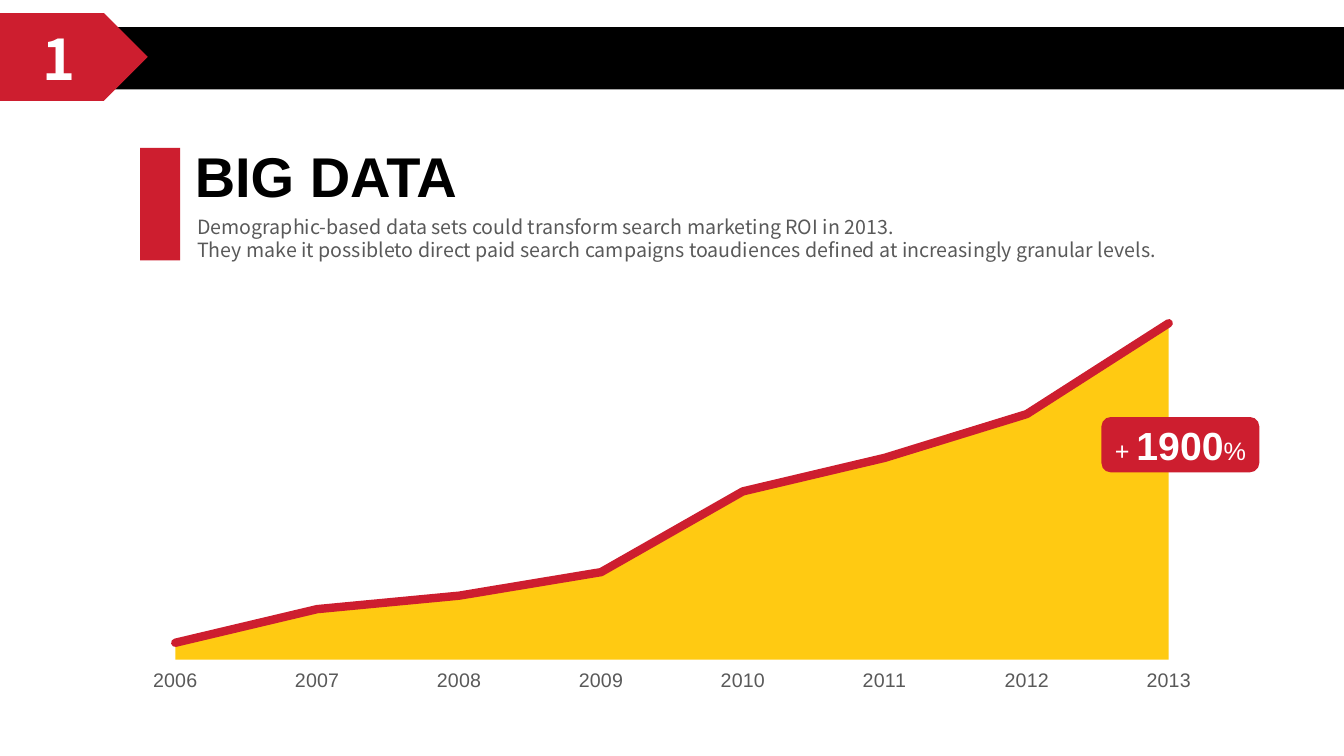
from lxml import etree
from pptx import Presentation
from pptx.chart.data import CategoryChartData
from pptx.dml.color import RGBColor
from pptx.enum.chart import XL_CHART_TYPE as CHART, XL_MARKER_STYLE as MARKER
from pptx.enum.chart import XL_TICK_LABEL_POSITION as LABELS, XL_TICK_MARK as TICK
from pptx.enum.shapes import MSO_SHAPE as SHAPE
from pptx.enum.text import MSO_ANCHOR as ANCHOR, MSO_AUTO_SIZE as FIT, PP_ALIGN as ALIGN
from pptx.oxml.ns import qn
from pptx.util import Inches, Pt

RED = RGBColor(0xCD, 0x1E, 0x2F)
YELLOW = RGBColor(0xFF, 0xCA, 0x12)
BLACK = RGBColor(0, 0, 0)
WHITE = RGBColor(0xFF, 0xFF, 0xFF)
GREY = RGBColor(0x59, 0x59, 0x59)
SANS, NOTO = "Arial", "Noto Sans CJK SC"

YEARS = [str(year) for year in range(2006, 2014)]
GROWTH = [5, 15, 19, 26, 50, 60, 73, 100]
INTRO = [
    "Demographic-based data sets could transform search marketing ROI in 2013.",
    "They make it possibleto direct paid search campaigns toaudiences defined "
    "at increasingly granular levels.",
]


def part(box, x, y, w, h):
    """Place a part by its shares of a box given in inches."""
    left, top, width, height = box
    return [Inches(v) for v in
            (left + x * width, top + y * height, w * width, h * height)]


def add_block(slide, kind, place, color):
    sp = slide.shapes.add_shape(kind, *place)
    sp.shadow.inherit = False
    sp.fill.solid()
    sp.fill.fore_color.rgb = color
    sp.line.fill.background()
    return sp


def add_run(p, text, size, color, font=SANS, bold=False):
    r = p.add_run()
    r.text = text
    r.font.size, r.font.name, r.font.bold = Pt(size), font, bold
    r.font.color.rgb = color


def move(sp, place):
    sp.left, sp.top, sp.width, sp.height = place
    tf = sp.text_frame
    tf.auto_size, tf.vertical_anchor = FIT.NONE, ANCHOR.TOP
    tf.word_wrap = True
    return tf


def add_header(slide, box, number):
    add_block(slide, SHAPE.RECTANGLE, part(box, 0, 0.16, 1, 0.71), BLACK)
    add_block(slide, SHAPE.PENTAGON, part(box, 0, 0, 0.11, 1), RED)
    label = slide.shapes.add_textbox(*part(box, 0.024, 0.07, 0.041, 0.88))
    add_run(label.text_frame.paragraphs[0], number, 40, WHITE, NOTO, True)


def add_heading(slide, box, title, lines):
    add_block(slide, SHAPE.RECTANGLE, part(box, 0, 0.09, 0.035, 0.86), RED)

    p = move(slide.shapes.title, part(box, 0.039, 0, 0.264, 0.59)).paragraphs[0]
    p.alignment = ALIGN.LEFT
    add_run(p, title, 40, BLACK, bold=True)

    tf = move(slide.placeholders[1], part(box, 0.041, 0.56, 0.959, 0.44))
    for i, line in enumerate(lines):
        p = tf.add_paragraph() if i else tf.paragraphs[0]
        pPr = p._p.get_or_add_pPr()
        pPr.set("marL", "0")
        pPr.set("indent", "0")
        etree.SubElement(pPr, qn("a:buNone"))
        p.alignment, p.space_before = ALIGN.JUSTIFY, Pt(0)
        add_run(p, line, 14, GREY, NOTO)


def split_line_plot(chart):
    """Turn the second area series into a line on the same axes."""
    area = chart._chartSpace.find(".//" + qn("c:areaChart"))
    line = etree.Element(qn("c:lineChart"))
    etree.SubElement(line, qn("c:grouping")).set("val", "standard")
    etree.SubElement(line, qn("c:varyColors")).set("val", "0")
    line.append(area.findall(qn("c:ser"))[1])
    etree.SubElement(line, qn("c:marker")).set("val", "1")
    for axis in area.findall(qn("c:axId")):
        etree.SubElement(line, qn("c:axId")).set("val", axis.get("val"))
    area.addnext(line)


def set_plot_area(chart, **shares):
    plot_area = chart._chartSpace.find(".//" + qn("c:plotArea"))
    layout = plot_area.find(qn("c:layout"))
    if layout is None:
        layout = etree.Element(qn("c:layout"))
        plot_area.insert(0, layout)
    manual = etree.SubElement(layout, qn("c:manualLayout"))
    settings = dict(layoutTarget="inner", xMode="edge", yMode="edge", **shares)
    for name, value in settings.items():
        etree.SubElement(manual, qn("c:" + name)).set("val", str(value))
    # The area runs from the first category to the last
    plot_area.find(".//" + qn("c:crossBetween")).set("val", "midCat")


def add_growth_chart(slide, box):
    data = CategoryChartData()
    data.categories = YEARS
    for name in ("Series 1", "Series 2"):
        data.add_series(name, GROWTH)
    chart = slide.shapes.add_chart(CHART.AREA, *part(box, 0, 0, 0.958, 1), data).chart
    chart.has_title = chart.has_legend = False
    chart.font.name, chart.font.size = SANS, Pt(10)
    split_line_plot(chart)
    set_plot_area(chart, x=0.04, y=0.02, w=0.92, h=0.89)

    # Series
    area_plot, line_plot = chart.plots
    area_plot.vary_by_categories = False
    area = area_plot.series[0]
    area.format.fill.solid()
    area.format.fill.fore_color.rgb = YELLOW
    trend = line_plot.series[0]
    trend.smooth = False
    trend.marker.style = MARKER.NONE
    trend.format.line.color.rgb = RED
    trend.format.line.width = Pt(6)
    ln = trend.format.line._ln
    ln.set("cap", "rnd")
    etree.SubElement(ln, qn("a:round"))

    # Axes
    values, years = chart.value_axis, chart.category_axis
    values.minimum_scale, values.maximum_scale = 0, 120
    values.has_major_gridlines = False
    values.visible = False
    years.has_major_gridlines = False
    years.major_tick_mark = TICK.INSIDE
    years.tick_label_position = LABELS.LOW
    years.format.line.color.rgb = WHITE
    years.format.line.width = Pt(0.75)
    font = years.tick_labels.font
    font.name, font.size, font.color.rgb = SANS, Pt(14), GREY

    # Growth badge
    badge = add_block(slide, SHAPE.ROUNDED_RECTANGLE,
                      part(box, 0.86, 0.375, 0.14, 0.122), RED)
    tf = badge.text_frame
    tf.vertical_anchor = ANCHOR.MIDDLE
    p = tf.paragraphs[0]
    p.alignment = ALIGN.CENTER
    add_run(p, "+ ", 18, WHITE)
    add_run(p, "1900", 28, WHITE, bold=True)
    add_run(p, "%", 18, WHITE)


def main():
    prs = Presentation()
    prs.slide_width, prs.slide_height = Inches(13.33), Inches(7.5)
    slide = prs.slides.add_slide(prs.slide_layouts[1])
    add_header(slide, (0, 0.13, 13.33, 0.87), "1")
    add_heading(slide, (1.39, 1.35, 11.34, 1.3), "BIG DATA", INTRO)
    add_growth_chart(slide, (1.31, 2.45, 11.18, 4.5))
    prs.save("out.pptx")


if __name__ == "__main__":
    main()
